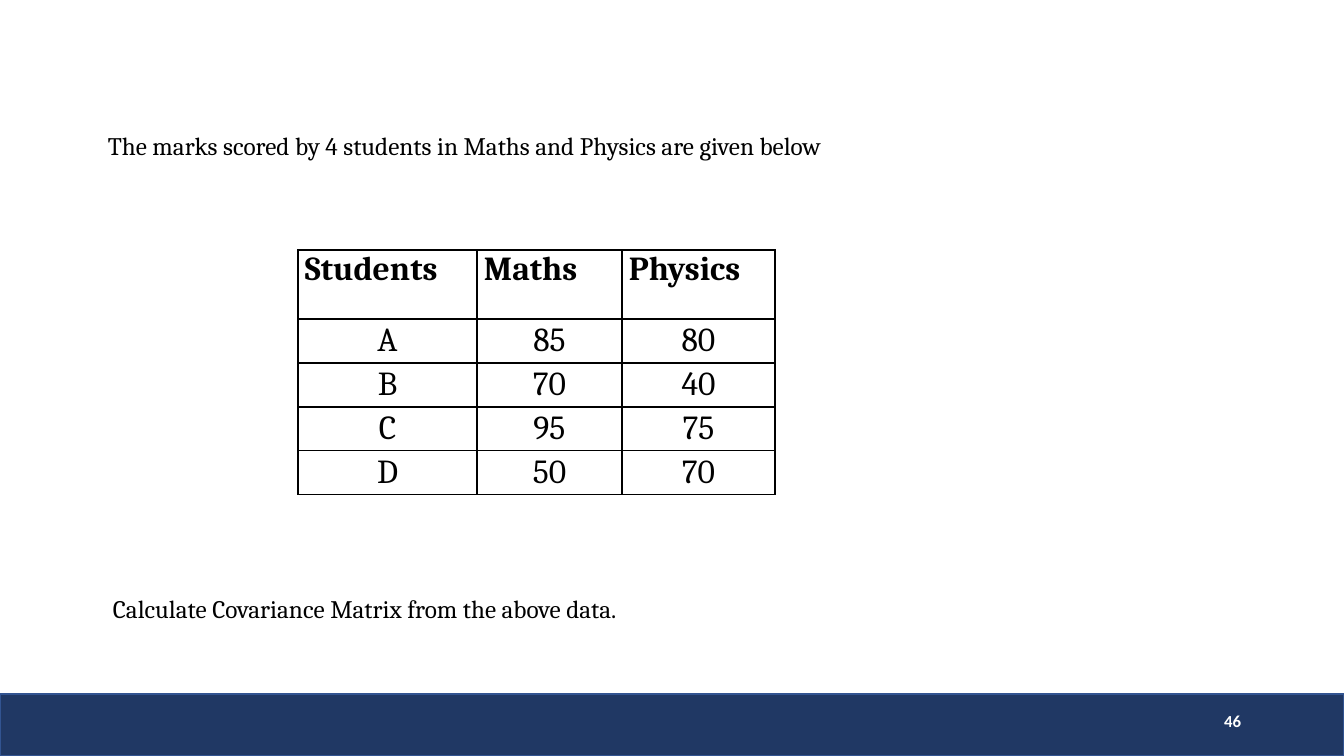
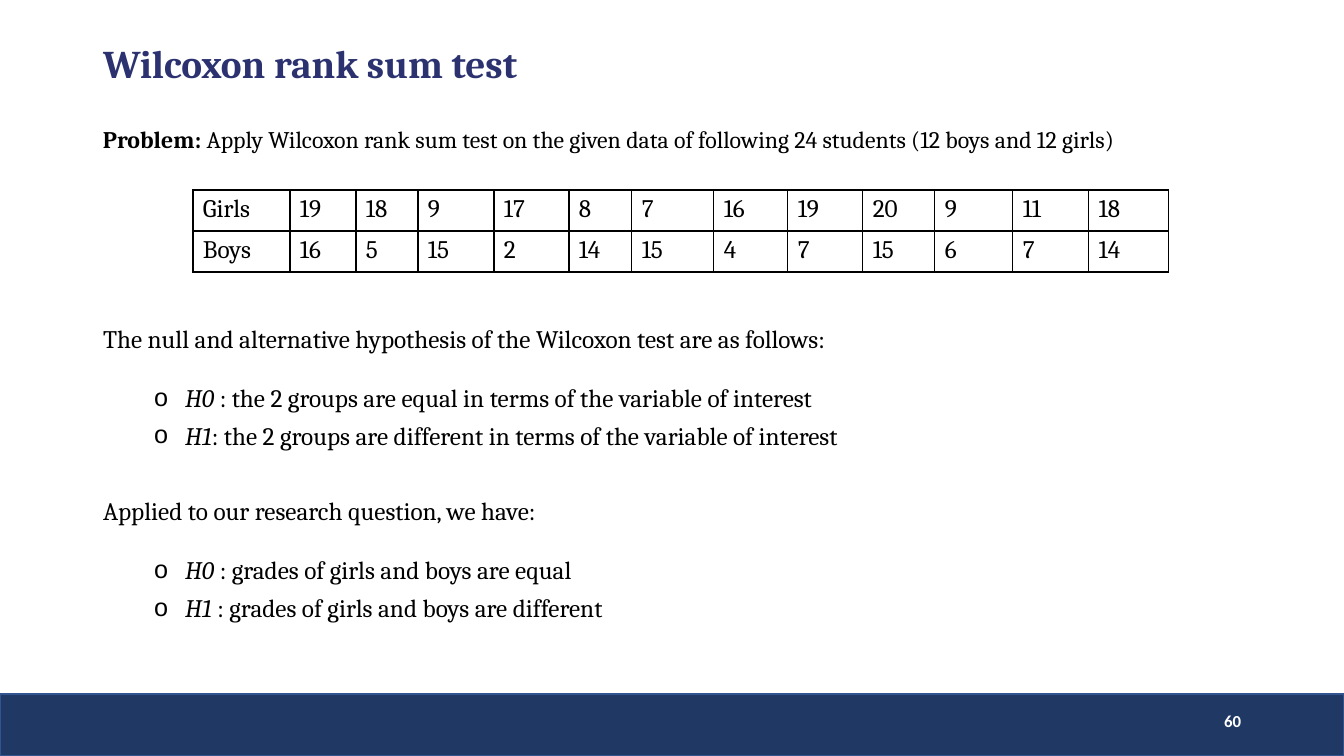
from lxml.etree import SubElement
from pptx import Presentation
from pptx.dml.color import RGBColor
from pptx.enum.shapes import MSO_SHAPE
from pptx.enum.text import MSO_ANCHOR, MSO_AUTO_SIZE, PP_ALIGN
from pptx.oxml.ns import qn
from pptx.util import Emu, Pt

SLIDE_WIDTH, SLIDE_HEIGHT = 1344, 756
EMU_PER_PX = 914400 / 100.8
COLORS = {
    "text": "000000",
    "title": "2C326F",
    "band": "203864",
    "band_edge": "325491",
    "number": "FFFFFF",
}
BLANK_LAYOUT, CONTENT_LAYOUT = 6, 1


def px(length):
    return Emu(round(length * EMU_PER_PX))


def rgb(name):
    return RGBColor.from_string(COLORS[name])


def write_text(frame, text, size=18, color="text", font="Cambria", bold=False,
               lead="", lead_style="bold", align=PP_ALIGN.LEFT, spacing=1.0,
               before=0, bullet=None):
    first = frame.paragraphs[0]
    paragraph = frame.add_paragraph() if first.runs else first
    properties = paragraph._p.get_or_add_pPr()
    properties.set("marL", str(px(82 if bullet else 0)))
    properties.set("indent", str(px(-31 if bullet else 0)))
    if bullet:
        paragraph.level = 1
        SubElement(properties, qn("a:buChar")).set("char", bullet)
    else:
        SubElement(properties, qn("a:buNone"))
    paragraph.alignment = align
    paragraph.line_spacing = spacing
    paragraph.space_before = Pt(before)
    paragraph.space_after = Pt(0)
    for words in filter(None, (lead, text)):
        run = paragraph.add_run()
        run.text = words
        run.font.name = font
        run.font.size = Pt(size)
        run.font.color.rgb = rgb(color)
        run.font.bold = bold
        run.font.italic = False
        if words is lead:
            setattr(run.font, lead_style, True)


class Deck:
    def __init__(self):
        self.presentation = Presentation()
        self.presentation.slide_width = px(SLIDE_WIDTH)
        self.presentation.slide_height = px(SLIDE_HEIGHT)
        self.slide = None

    def add_slide(self, layout, number):
        layouts = self.presentation.slide_layouts
        self.slide = self.presentation.slides.add_slide(layouts[layout])
        if len(self.presentation.slides) == 1:
            self.add_master_band()
        self.add_text(949, 701, 302, 40, str(number), anchor=MSO_ANCHOR.MIDDLE,
                      size=12, font="Calibri", color="number", bold=True,
                      align=PP_ALIGN.RIGHT)

    def add_master_band(self):
        band = self.slide.shapes.add_shape(
            MSO_SHAPE.RECTANGLE, px(0), px(694), px(SLIDE_WIDTH), px(62))
        band.shadow.inherit = False
        band.fill.solid()
        band.fill.fore_color.rgb = rgb("band")
        band.line.color.rgb = rgb("band_edge")
        band.line.width = Pt(1)
        self.presentation.slide_master.shapes.element.insert(2, band.element)

    def add_text(self, left, top, width, height, text,
                 anchor=MSO_ANCHOR.TOP, **style):
        box = self.slide.shapes.add_textbox(
            px(left), px(top), px(width), px(height))
        box.text_frame.word_wrap = True
        box.text_frame.vertical_anchor = anchor
        write_text(box.text_frame, text, **style)

    def place(self, placeholder, left, top, width, height):
        placeholder.left, placeholder.top = px(left), px(top)
        placeholder.width, placeholder.height = px(width), px(height)
        frame = placeholder.text_frame
        frame.word_wrap = True
        frame.auto_size = MSO_AUTO_SIZE.NONE
        frame.vertical_anchor = MSO_ANCHOR.TOP
        return frame

    def add_title(self, text):
        frame = self.place(self.slide.shapes.title, 93, 40, 1139, 59)
        write_text(frame, text, size=28, color="title", bold=True, spacing=0.9)

    def add_body(self, left, top, width, height, paragraphs):
        frame = self.place(self.slide.placeholders[1], left, top, width, height)
        for text, style in paragraphs:
            write_text(frame, text, spacing=1.25, **style)

    def add_table(self, left, top, widths, heights, rows, margins=(10, 5),
                  header=False, size=18, align=PP_ALIGN.LEFT):
        table = self.slide.shapes.add_table(
            len(rows), len(widths), px(left), px(top),
            px(sum(widths)), px(sum(heights))).table
        table.first_row = header
        table.horz_banding = False
        for column, width in zip(table.columns, widths):
            column.width = px(width)
        for row, height in zip(table.rows, heights):
            row.height = px(height)
        for row_index, values in enumerate(rows):
            heading = header and row_index == 0
            for column_index, value in enumerate(values):
                cell = table.cell(row_index, column_index)
                cell.margin_left = cell.margin_right = px(margins[0])
                cell.margin_top = cell.margin_bottom = px(margins[1])
                if header and not heading:
                    cell.vertical_anchor = MSO_ANCHOR.MIDDLE
                self.add_borders(cell)
                cell.fill.background()
                write_text(cell.text_frame, str(value), size=size, bold=heading,
                           align=PP_ALIGN.LEFT if heading else align)

    def add_borders(self, cell):
        properties = cell._tc.get_or_add_tcPr()
        for side in ("lnL", "lnR", "lnT", "lnB"):
            border = SubElement(properties, qn(f"a:{side}"))
            border.set("w", str(Pt(1)))
            fill = SubElement(border, qn("a:solidFill"))
            SubElement(fill, qn("a:srgbClr")).set("val", COLORS["text"])


def build_covariance(deck):
    deck.add_slide(BLANK_LAYOUT, 46)
    deck.add_text(98, 125, 1051, 40, "The marks scored by 4 students in Maths "
                  "and Physics are given below")
    marks = [
        ("Students", "Maths", "Physics"),
        ("A", 85, 80),
        ("B", 70, 40),
        ("C", 95, 75),
        ("D", 50, 70),
    ]
    deck.add_table(298, 250, [179, 145, 153], [69] + [44] * 4, marks,
                   margins=(7, 0), header=True, size=24, align=PP_ALIGN.CENTER)
    deck.add_text(103, 588, 672, 40,
                  "Calculate Covariance Matrix from the above data.")


def build_wilcoxon(deck):
    deck.add_slide(CONTENT_LAYOUT, 60)
    deck.add_title("Wilcoxon rank sum test")
    deck.add_text(93, 116, 1174, 75, "Apply Wilcoxon rank sum test on the given "
                  "data of following 24 students (12 boys and 12 girls)",
                  lead="Problem: ", size=17, spacing=1.14,
                  align=PP_ALIGN.JUSTIFY)
    grades = [
        ("Girls", 19, 18, 9, 17, 8, 7, 16, 19, 20, 9, 11, 18),
        ("Boys", 16, 5, 15, 2, 14, 15, 4, 7, 15, 6, 7, 14),
    ]
    grade_widths = [97, 66, 62, 76, 75, 63, 82, 74, 75, 72, 78, 76, 80]
    deck.add_table(193, 190, grade_widths, [41, 41], grades)
    hypothesis = {"bullet": "o", "lead_style": "italic"}
    deck.add_body(93, 311, 1159, 318, [
        ("The null and alternative hypothesis of the Wilcoxon test "
         "are as follows:", {}),
        (" : the 2 groups are equal in terms of the variable of interest",
         {"lead": "H0", "before": 15, **hypothesis}),
        (": the 2 groups are different in terms of the variable of interest",
         {"lead": "H1", **hypothesis}),
        ("Applied to our research question, we have:", {"before": 27}),
        (" : grades of girls and boys are equal",
         {"lead": "H0", "before": 15, **hypothesis}),
        (" : grades of girls and boys are different",
         {"lead": "H1", **hypothesis}),
    ])


def main():
    deck = Deck()
    build_covariance(deck)
    build_wilcoxon(deck)
    deck.presentation.save("out.pptx")


if __name__ == "__main__":
    main()
